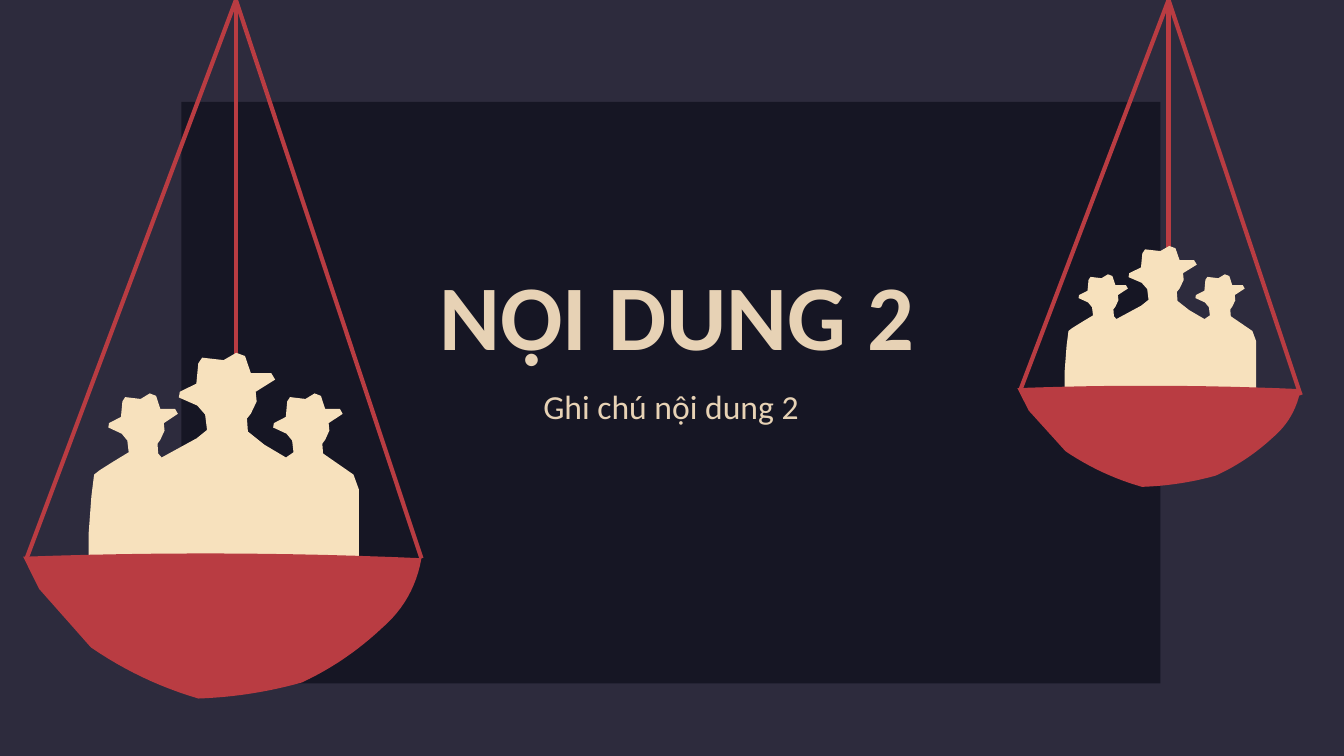
"""Build a section slide with two hanging scales around a centred title."""
from dataclasses import dataclass

from lxml import etree
from pptx import Presentation
from pptx.dml.color import RGBColor
from pptx.enum import shapes, text
from pptx.oxml import ns
from pptx.util import Inches, Pt


@dataclass(frozen=True)
class Theme:
    """Colours, font and sizes of the slide."""
    background: str = "2D2B3D"
    panel: str = "161624"
    red: str = "B93C42"
    cream: str = "F7E1BD"
    text: str = "E7D2B5"
    font: str = "Calibri"
    title_size: int = 66
    note_size: int = 24
    line_width: int = 3


@dataclass(frozen=True)
class Scale:
    """Places of one hanging scale in inches; frames are left, top, width, height."""
    hook: tuple
    cord_ends: tuple
    people_frame: tuple
    bowl_frame: tuple


THEME = Theme()

FACE_LEFT = ((0.3, 0.95), (0.28, 0.76), (0.2, 0.65))
BRIM_LEFT = ((0.01, 0.55), (0.02, 0.48), (0.19, 0.38))
CROWN = ((0.21, 0.13), (0.25, 0.06), (0.47, 0.09), (0.6, 0), (0.69, 0.04), (0.75, 0.25))
BRIM_RIGHT = ((0.96, 0.25), (1, 0.33), (0.8, 0.48))
FACE_RIGHT = ((0.81, 0.6), (0.75, 0.75), (0.71, 0.81), (0.72, 0.97))
HEAD = FACE_LEFT + BRIM_LEFT + CROWN + BRIM_RIGHT + FACE_RIGHT

SIDE_HEAD_TOP, SIDE_HEAD_WIDTH, SIDE_HEAD_HEIGHT = 0.19, 0.26, 0.29
LEFT_HEAD = (0.07, SIDE_HEAD_TOP, SIDE_HEAD_WIDTH, SIDE_HEAD_HEIGHT)
MIDDLE_HEAD = (0.33, 0, 0.36, 0.38)
RIGHT_HEAD = (0.68, SIDE_HEAD_TOP, SIDE_HEAD_WIDTH, SIDE_HEAD_HEIGHT)

LEFT_SIDE = ((0, 1), (0, 0.84), (0.01, 0.67), (0.02, 0.57), (0.04, 0.55), (0.09, 0.51))
LEFT_VALLEY = ((0.27, 0.49), (0.4, 0.4))
RIGHT_VALLEY = ((0.65, 0.43), (0.73, 0.49))
RIGHT_SIDE = ((0.98, 0.57), (1, 0.64), (1, 1))

BOWL_RIM = ((0, 0.03, 0.01), (1, 0.04, 0.09))
BOWL_HULL = ((0.9, 0.52, 0.04), (0.7, 0.89, 0.03), (0.44, 1, 0.04),
             (0.17, 0.65, 0), (0.04, 0.25, 0))

SMALL_SCALE = Scale((11.59, 0), ((11.59, 4), (12.9, 3.92), (10.12, 3.87)),
                    (10.56, 2.44, 1.9, 1.48), (10.09, 3.82, 2.81, 1.01))
LARGE_SCALE = Scale((2.34, 0), ((2.34, 5.74), (4.18, 5.54), (0.26, 5.55)),
                    (0.88, 3.5, 2.68, 2.12), (0.23, 5.48, 3.95, 1.45))


def fit(points, frame):
    """Map points given as fractions of a frame to their places."""
    left, top, width, height = frame
    return [(left + x * width, top + y * height) for x, y in points]


def people_outline():
    """Join three equal heads with shoulders, as fractions of the group."""
    return (*LEFT_SIDE, *fit(HEAD, LEFT_HEAD),
            *LEFT_VALLEY, *fit(HEAD, MIDDLE_HEAD),
            *RIGHT_VALLEY, *fit(HEAD, RIGHT_HEAD), *RIGHT_SIDE)


def bulge(start, end, depth, pieces=12):
    """Return points of an arc that swells outward by a share of its chord."""
    (x1, y1), (x2, y2) = start, end
    dx, dy = x2 - x1, y2 - y1
    points = []
    for piece in range(pieces):
        t = piece / pieces
        swell = 4 * depth * t * (1 - t)
        points.append((x1 + t * dx + swell * dy, y1 + t * dy - swell * dx))
    return points


def bowl_outline(frame):
    """Run clockwise round the bowl, swelling each side by its depth."""
    sides = BOWL_RIM + BOWL_HULL
    corners = fit([(x, y) for x, y, _ in sides], frame)
    points = []
    for index, (_, _, depth) in enumerate(sides):
        following = corners[(index + 1) % len(corners)]
        points += bulge(corners[index], following, depth)
    return points


def paint(shape, colour):
    """Give a shape a plain fill without line or shadow."""
    shape.shadow.inherit = False
    shape.fill.solid()
    shape.fill.fore_color.rgb = RGBColor.from_string(colour)
    shape.line.fill.background()


def add_outline(group, points, colour):
    """Draw a closed, filled outline through points in inches."""
    places = [(Inches(x), Inches(y)) for x, y in points]
    builder = group.shapes.build_freeform(*places[0])
    builder.add_line_segments(places[1:], close=True)
    paint(builder.convert_to_shape(), colour)


def add_cord(group, start, end):
    """Draw one straight cord of a scale."""
    cord = group.shapes.add_connector(
        shapes.MSO_CONNECTOR.STRAIGHT, *map(Inches, start + end))
    cord.line.color.rgb = RGBColor.from_string(THEME.red)
    cord.line.width = Pt(THEME.line_width)
    etree.SubElement(cord._element.spPr, ns.qn("a:effectLst"))


def add_scale(page, scale):
    """Draw a hanging scale with people in its bowl."""
    group = page.shapes.add_group_shape()
    for end in scale.cord_ends:
        add_cord(group, end, scale.hook)
    add_outline(group, fit(people_outline(), scale.people_frame), THEME.cream)
    add_outline(group, bowl_outline(scale.bowl_frame), THEME.red)


def add_panel(page, frame):
    """Draw the dark panel behind the title."""
    panel = page.shapes.add_shape(
        shapes.MSO_SHAPE.RECTANGLE, *map(Inches, frame))
    paint(panel, THEME.panel)


def add_text(page, frame, words, size, bold=False):
    """Write one centred line of text."""
    box = page.shapes.add_textbox(*map(Inches, frame))
    box.text_frame.word_wrap = True
    box.text_frame.auto_size = text.MSO_AUTO_SIZE.SHAPE_TO_FIT_TEXT
    para = box.text_frame.paragraphs[0]
    para.text = words
    para.alignment = text.PP_ALIGN.CENTER
    para.font.name = THEME.font
    para.font.size = Pt(size)
    para.font.bold = bold
    para.font.color.rgb = RGBColor.from_string(THEME.text)


def main():
    """Build and save the deck."""
    deck = Presentation()
    deck.slide_width, deck.slide_height = Inches(13.33), Inches(7.5)
    page = deck.slides.add_slide(deck.slide_layouts[6])
    page.background.fill.solid()
    page.background.fill.fore_color.rgb = RGBColor.from_string(THEME.background)
    add_panel(page, (1.8, 1.01, 9.71, 5.77))
    for scale in (SMALL_SCALE, LARGE_SCALE):
        add_scale(page, scale)
    add_text(page, (3.39, 2.51, 6.65, 1.21), "NỘI DUNG 2", THEME.title_size, bold=True)
    add_text(page, (3.33, 3.78, 6.65, 0.5), "Ghi chú nội dung 2", THEME.note_size)
    deck.save("out.pptx")


if __name__ == "__main__":
    main()
